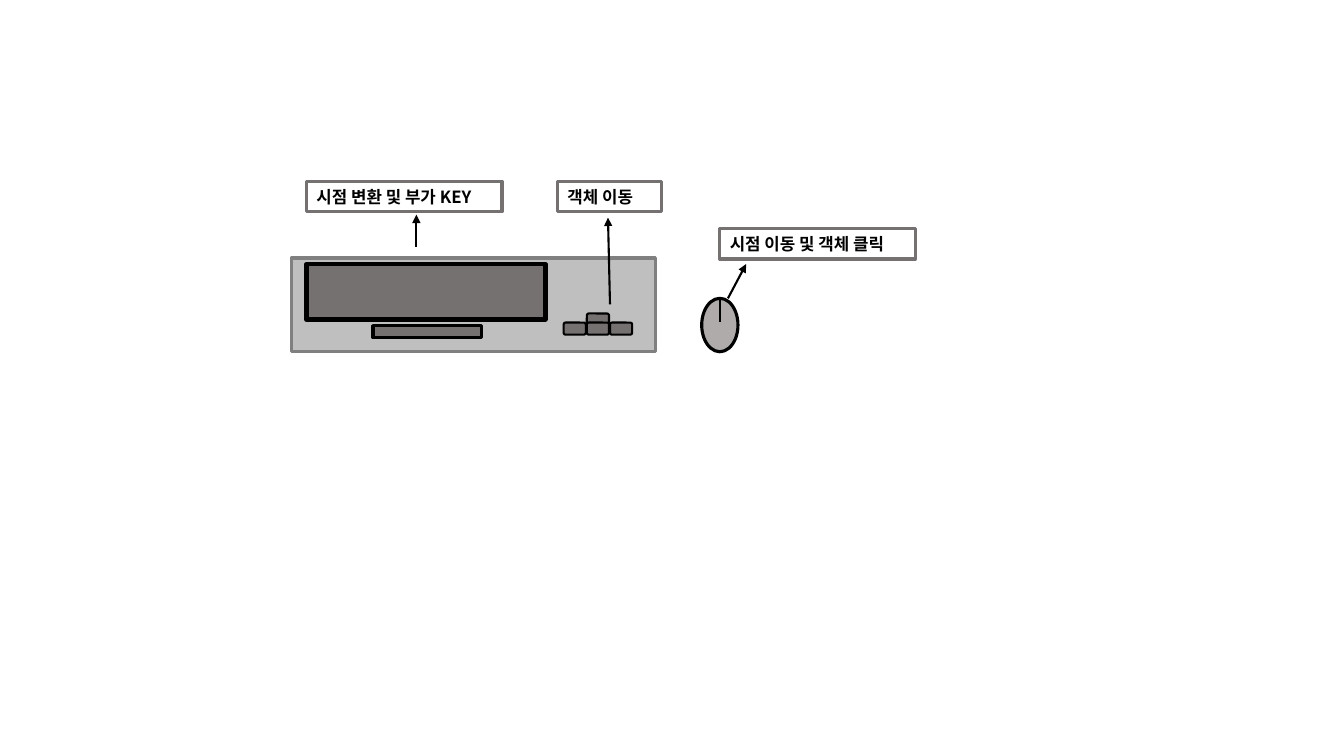
from lxml.etree import SubElement
from pptx import Presentation
from pptx.dml.color import RGBColor
from pptx.enum.shapes import MSO_CONNECTOR, MSO_SHAPE
from pptx.enum.text import MSO_AUTO_SIZE
from pptx.oxml.ns import qn
from pptx.util import Inches, Pt

BLACK = RGBColor(0x00, 0x00, 0x00)
KEY_GRAY = RGBColor(0x76, 0x71, 0x71)
BOARD_GRAY = RGBColor(0xBF, 0xBF, 0xBF)
BOARD_EDGE = RGBColor(0x80, 0x80, 0x80)
MOUSE_GRAY = RGBColor(0xAF, 0xAB, 0xAB)
FONT = "Noto Sans CJK KR"


def add_part(s, kind, x, y, w, h, fill, line=BLACK, weight=2.25):
    sp = s.shapes.add_shape(kind, Inches(x), Inches(y), Inches(w), Inches(h))
    sp.shadow.inherit = False
    sp.fill.solid()
    sp.fill.fore_color.rgb = fill
    sp.line.color.rgb = line
    sp.line.width = Pt(weight)


def add_line(s, x1, y1, x2, y2, arrow=False):
    cn = s.shapes.add_connector(MSO_CONNECTOR.STRAIGHT, Inches(x1), Inches(y1),
                                Inches(x2), Inches(y2))
    cn.line.color.rgb = BLACK
    cn.line.width = Pt(1.5)
    if arrow:
        SubElement(cn.line._get_or_add_ln(), qn("a:tailEnd"), type="triangle")
    SubElement(cn._element.spPr, qn("a:effectLst"))


def add_label(s, x, y, w, text):
    sp = s.shapes.add_textbox(Inches(x), Inches(y), Inches(w), Inches(0.3))
    sp.line.color.rgb = KEY_GRAY
    sp.line.width = Pt(2.25)
    tf = sp.text_frame
    tf.word_wrap = True
    tf.auto_size = MSO_AUTO_SIZE.SHAPE_TO_FIT_TEXT
    r = tf.paragraphs[0].add_run()
    r.text = text
    r.font.size = Pt(12)
    r.font.bold = True
    r.font.color.rgb = BLACK
    r.font.name = FONT
    SubElement(r._r.get_or_add_rPr(), qn("a:ea"), typeface=FONT)


def add_keyboard(s, x, y, w, h):
    add_part(s, MSO_SHAPE.RECTANGLE, x, y, w, h, BOARD_GRAY, BOARD_EDGE)
    # Main key block and space bar
    add_part(s, MSO_SHAPE.RECTANGLE, x + 0.15, y + 0.06, 2.37, 0.55, KEY_GRAY, weight=3)
    add_part(s, MSO_SHAPE.RECTANGLE, x + 0.81, y + 0.67, 1.08, 0.12, KEY_GRAY)
    # Arrow keys: up, then left, down and right
    for col, top in ((1, 0.55), (0, 0.64), (1, 0.64), (2, 0.64)):
        add_part(s, MSO_SHAPE.ROUNDED_RECTANGLE, x + 2.7 + col * 0.23, y + top,
                 0.22, 0.12, KEY_GRAY, weight=1.5)


def add_mouse(s, x, y, w, h):
    add_part(s, MSO_SHAPE.OVAL, x, y, w, h, MOUSE_GRAY)
    add_line(s, x + w / 2, y, x + w / 2, y + 0.23)


def add_callouts(s):
    for x, y, w, text, arrow in (
        (3.04, 1.8, 1.94, "시점 변환 및 부가 KEY", (4.13, 2.45, 4.13, 2.13)),
        (5.53, 1.8, 1.03, "객체 이동", (6.05, 3.02, 6.03, 2.16)),
        (7.14, 2.27, 1.94, "시점 이동 및 객체 클릭", (7.22, 2.96, 7.4, 2.62)),
    ):
        add_label(s, x, y, w, text)
        add_line(s, *arrow, arrow=True)


def main():
    prs = Presentation()
    prs.slide_width = Inches(13.33)
    prs.slide_height = Inches(7.5)
    s = prs.slides.add_slide(prs.slide_layouts[6])
    add_keyboard(s, 2.89, 2.56, 3.61, 0.93)
    add_mouse(s, 6.96, 2.96, 0.36, 0.53)
    add_callouts(s)
    prs.save("out.pptx")


if __name__ == "__main__":
    main()
